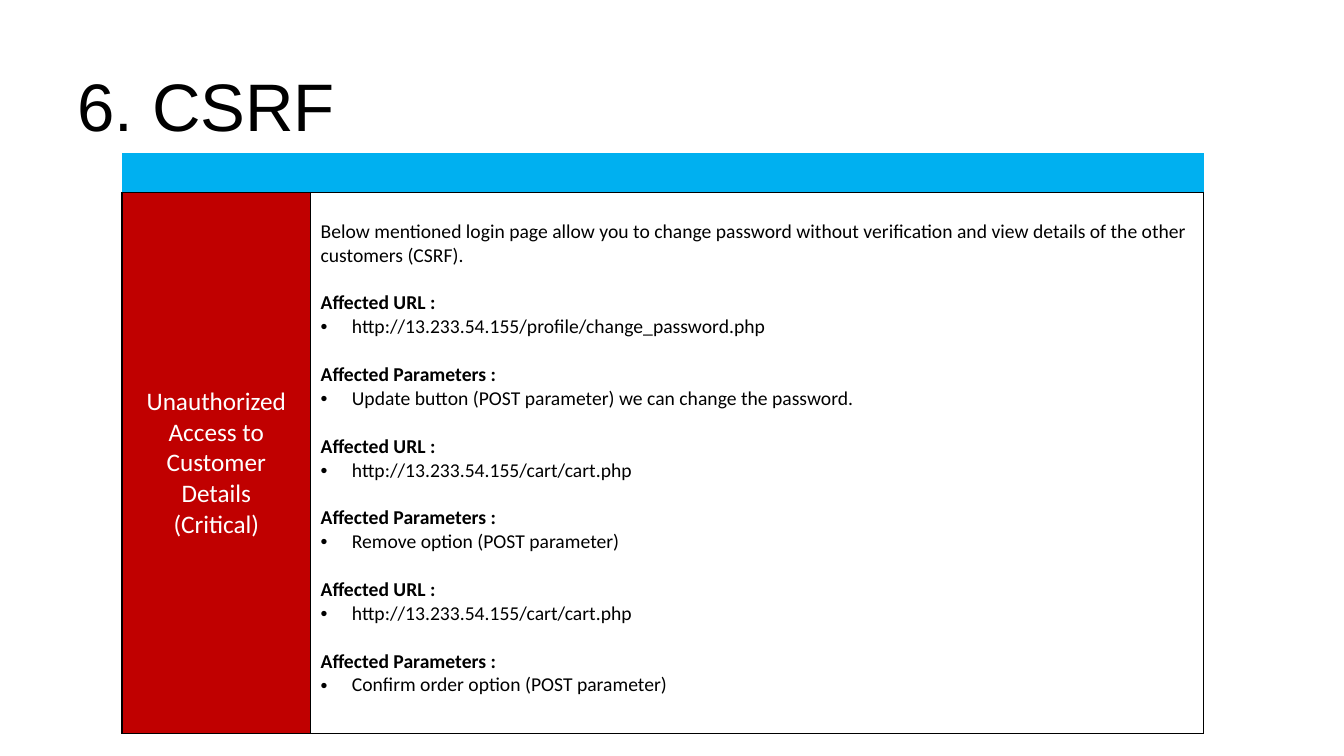
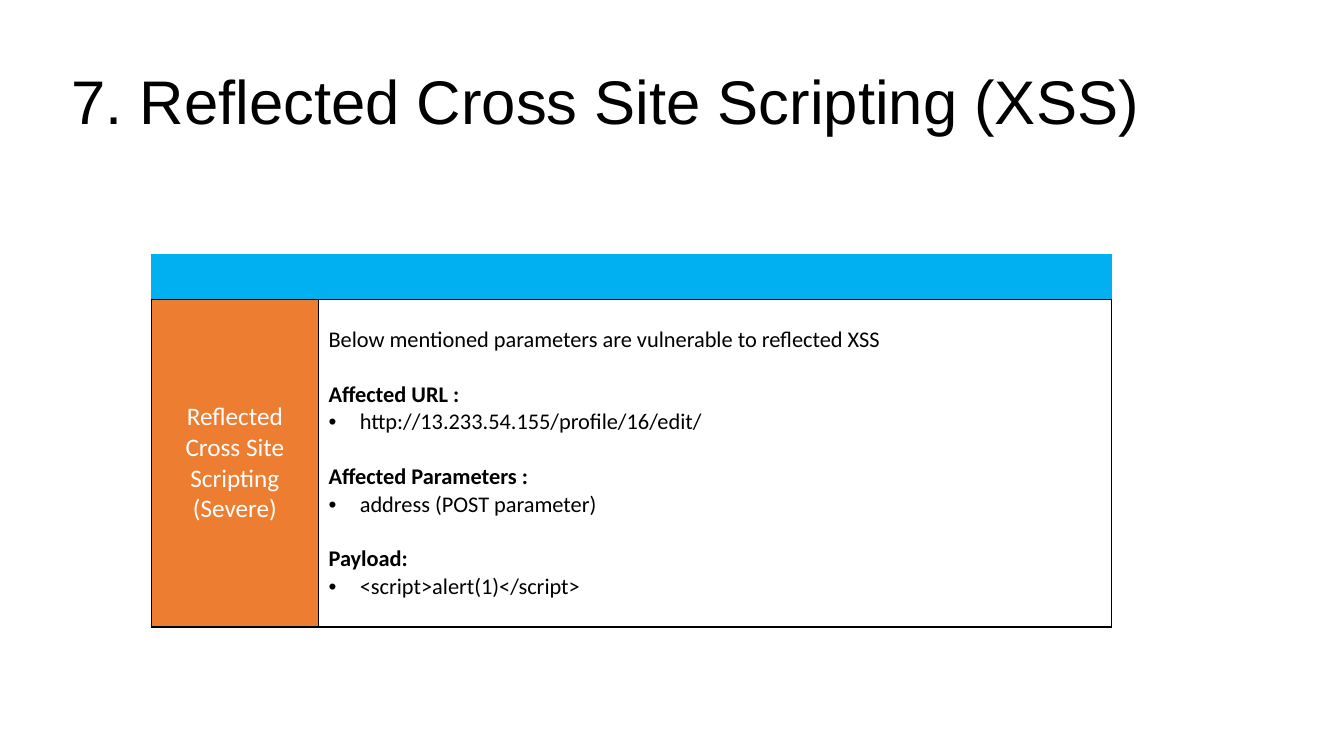
from lxml.etree import SubElement
from pptx import Presentation
from pptx.dml.color import RGBColor
from pptx.enum.text import MSO_VERTICAL_ANCHOR as Anchor, PP_PARAGRAPH_ALIGNMENT as Align
from pptx.oxml.ns import qn
from pptx.util import Inches, Pt

WIDTH, HEIGHT = Inches(13.333), Inches(7.5)
COLUMN, ROW = WIDTH / 100, HEIGHT / 100

COLORS = {
    "text": "000000",
    "inverse": "FFFFFF",
    "header": "00B0F0",
    "critical": "C00000",
    "severe": "ED7D31",
    "body": "FFFFFF",
    "border": "000000",
}
TITLE_FONT = {"name": "Arial"}
BODY_FONT = {"name": "Calibri"}
LABEL_FONT = {"name": "Calibri", "size": Pt(18)}
HEADER_CELL = {"margin_top": 0, "margin_bottom": 0}
LABEL_CELL = {"vertical_anchor": Anchor.MIDDLE}
DETAIL_CELL = {"margin_top": Inches(0.27)}
TABLE_FLAGS = {"first_row": False, "horz_banding": False}
PLAIN_TABLE_STYLE = "{2D5ABB26-0587-4C30-8999-92F81FD0307C}"
LINE_HEIGHT = 1.22
BULLET_INDENT = Inches(0.31)

FINDINGS = [
    {
        "title": "6. CSRF",
        "title_size": 48,
        "title_box": (5.03, 5.33, 88.13, 18.27),
        "table_corner": (9.08, 20.27),
        "columns": (14.03, 66.45),
        "rows": (5.2, 71.6),
        "label": ["Unauthorized Access to Customer Details", "(Critical)"],
        "severity": "critical",
        "text_size": 14,
        "summary": "Below mentioned login page allow you to change password without "
                   "verification and view details of the other customers (CSRF).",
        "sections": [
            ("Affected URL :", "http://13.233.54.155/profile/change_password.php"),
            ("Affected Parameters :", "Update button (POST parameter) we can change the password."),
            ("Affected URL :", "http://13.233.54.155/cart/cart.php"),
            ("Affected Parameters :", "Remove option (POST parameter)"),
            ("Affected URL :", "http://13.233.54.155/cart/cart.php"),
            ("Affected Parameters :", "Confirm order option (POST parameter)"),
        ],
    },
    {
        "title": "7. Reflected Cross Site Scripting (XSS)",
        "title_size": 44,
        "title_box": (4.58, 5.33, 88.5, 17.07),
        "table_corner": (11.25, 33.6),
        "columns": (12.45, 59.03),
        "rows": (6, 43.33),
        "label": ["Reflected Cross Site Scripting", "(Severe)"],
        "severity": "severe",
        "text_size": 16,
        "summary": "Below mentioned parameters are vulnerable to reflected XSS",
        "sections": [
            ("Affected URL :", "http://13.233.54.155/profile/16/edit/"),
            ("Affected Parameters :", "address (POST parameter)"),
            ("Payload:", "<script>alert(1)</script>"),
        ],
    },
]


def across(columns):
    return round(columns * COLUMN)


def down(rows):
    return round(rows * ROW)


def rgb(color):
    return RGBColor.from_string(COLORS[color])


def apply_format(target, values):
    for attribute, value in values.items():
        setattr(target, attribute, value)


def add_run(paragraph, text, color, font):
    run = paragraph.add_run()
    run.text = text
    apply_format(run.font, font)
    run.font.color.rgb = rgb(color)


def next_paragraph(frame):
    first = frame.paragraphs[0]
    return frame.add_paragraph() if first.runs else first


def add_bullet(paragraph):
    properties = paragraph._p.get_or_add_pPr()
    properties.set("marL", str(BULLET_INDENT))
    properties.set("indent", str(-BULLET_INDENT))
    bullet_color = SubElement(properties, qn("a:buClr"))
    SubElement(bullet_color, qn("a:srgbClr"), val=COLORS["text"])
    SubElement(properties, qn("a:buFont"), typeface="Arial")
    SubElement(properties, qn("a:buChar"), char="•")


def add_borders(cell):
    properties = cell._tc.get_or_add_tcPr()
    for side in ("lnL", "lnR", "lnT", "lnB"):
        line = SubElement(properties, qn(f"a:{side}"), w=str(Pt(1)))
        fill = SubElement(line, qn("a:solidFill"))
        SubElement(fill, qn("a:srgbClr"), val=COLORS["border"])


def fill_cell(cell, color, cell_format):
    cell.fill.solid()
    cell.fill.fore_color.rgb = rgb(color)
    apply_format(cell, cell_format)


def add_title(slide, finding):
    left, top, width, height = finding["title_box"]
    shape = slide.shapes.add_textbox(across(left), down(top), across(width), down(height))
    frame = shape.text_frame
    apply_format(frame, {"word_wrap": True, "vertical_anchor": Anchor.MIDDLE})
    paragraph = frame.paragraphs[0]
    paragraph.line_spacing = 0.9
    add_run(paragraph, finding["title"], "text", {**TITLE_FONT, "size": Pt(finding["title_size"])})


def write_label(frame, lines):
    for text in lines:
        paragraph = next_paragraph(frame)
        paragraph.alignment = Align.CENTER
        add_run(paragraph, text, "inverse", LABEL_FONT)


def write_details(frame, finding):
    size = finding["text_size"]
    font = {**BODY_FONT, "size": Pt(size)}
    add_run(next_paragraph(frame), finding["summary"], "text", font)
    for heading, item in finding["sections"]:
        paragraph = next_paragraph(frame)
        paragraph.space_before = Pt(round(size * LINE_HEIGHT, 1))
        add_run(paragraph, heading, "text", {**font, "bold": True})
        paragraph = next_paragraph(frame)
        add_bullet(paragraph)
        add_run(paragraph, item, "text", font)


def add_finding_table(slide, finding):
    left, top = finding["table_corner"]
    columns, rows = finding["columns"], finding["rows"]
    shape = slide.shapes.add_table(len(rows), len(columns), across(left), down(top),
                                   across(sum(columns)), down(sum(rows)))
    table = shape.table
    apply_format(table, TABLE_FLAGS)
    table._tbl.tblPr.find(qn("a:tableStyleId")).text = PLAIN_TABLE_STYLE
    for column, width in zip(table.columns, columns):
        column.width = across(width)
    for row, height in zip(table.rows, rows):
        row.height = down(height)
    for cell in table.rows[0].cells:
        fill_cell(cell, "header", HEADER_CELL)
    label, details = table.rows[1].cells
    for cell, color, cell_format in ((label, finding["severity"], LABEL_CELL),
                                     (details, "body", DETAIL_CELL)):
        add_borders(cell)
        fill_cell(cell, color, cell_format)
    write_label(label.text_frame, finding["label"])
    write_details(details.text_frame, finding)


def main():
    presentation = Presentation()
    apply_format(presentation, {"slide_width": WIDTH, "slide_height": HEIGHT})
    for finding in FINDINGS:
        slide = presentation.slides.add_slide(presentation.slide_layouts[6])
        add_title(slide, finding)
        add_finding_table(slide, finding)
    presentation.save("out.pptx")


if __name__ == "__main__":
    main()
